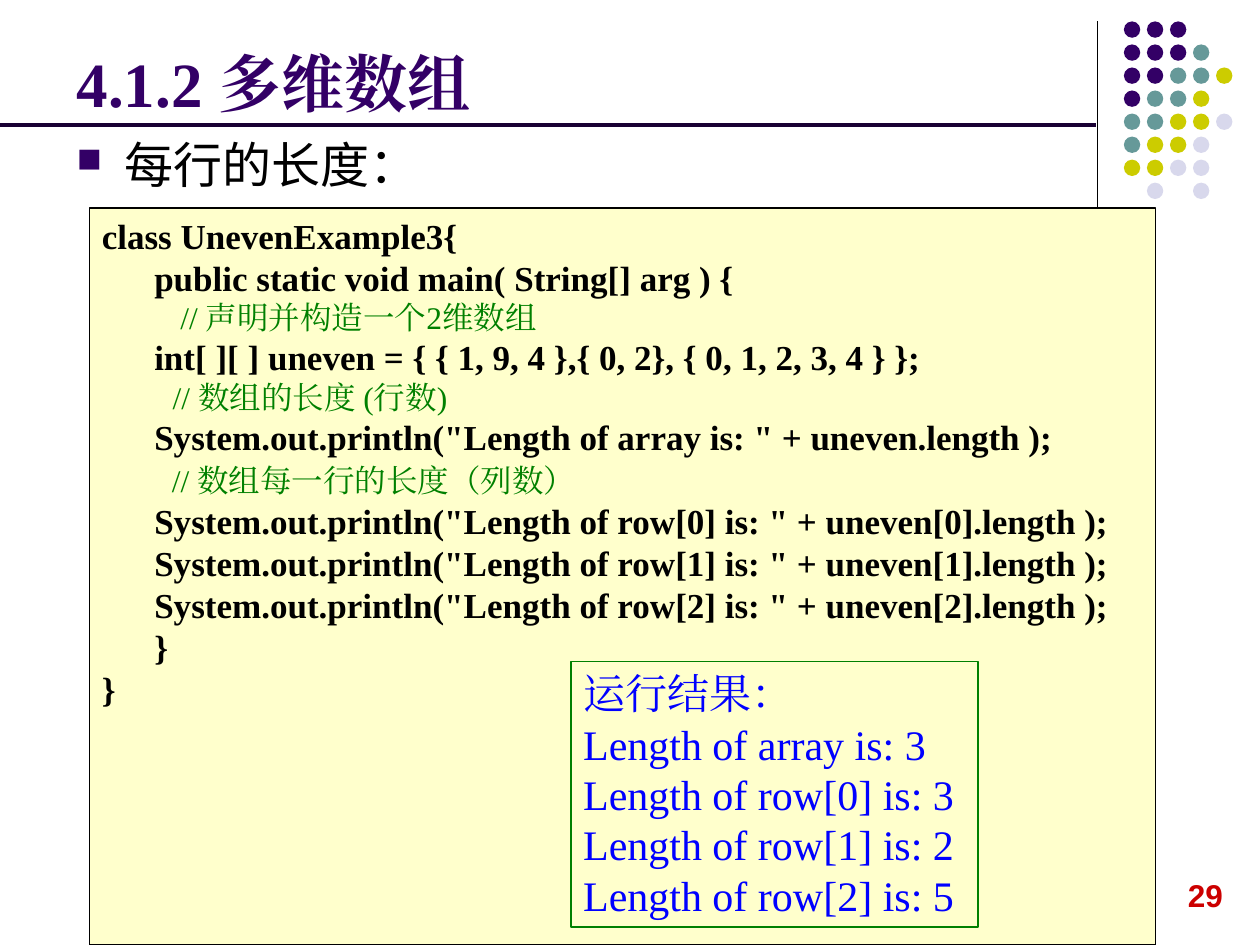
from lxml import etree
from pptx import Presentation
from pptx.dml.color import RGBColor
from pptx.enum import shapes, text
from pptx.oxml import ns
from pptx.util import Inches, Pt

BLACK = RGBColor(0x00, 0x00, 0x00)
PURPLE = RGBColor(0x33, 0x00, 0x66)
DARK_PURPLE = RGBColor(0x19, 0x00, 0x33)
TEAL = RGBColor(0x66, 0x99, 0x99)
OLIVE = RGBColor(0xCC, 0xCC, 0x00)
LAVENDER = RGBColor(0xD8, 0xD8, 0xEC)
CREAM = RGBColor(0xFF, 0xFF, 0xCC)
GREEN = RGBColor(0x00, 0x80, 0x00)
BLUE = RGBColor(0x00, 0x00, 0xFF)
RED = RGBColor(0xCC, 0x00, 0x00)
SERIF = "Times New Roman"
CJK = "Noto Sans CJK SC"

presentation = Presentation()
presentation.slide_width, presentation.slide_height = Inches(10), Inches(7.5)
slide = presentation.slides.add_slide(presentation.slide_layouts[6])


def style(paragraph, size, color, bold=False, name=SERIF):
    """Set the paragraph font for both Latin and East Asian text."""
    paragraph.alignment = text.PP_ALIGN.LEFT
    font = paragraph.font
    font.size, font.bold, font.name = Pt(size), bold, name
    font.color.rgb = color
    defaults = paragraph._p.pPr.find(ns.qn("a:defRPr"))
    etree.SubElement(defaults, ns.qn("a:ea"), typeface=name)


def add_rule(start, end, color, width):
    rule = slide.shapes.add_connector(
        shapes.MSO_CONNECTOR.STRAIGHT, *map(Inches, start + end))
    rule.line.color.rgb, rule.line.width = color, Pt(width)
    etree.SubElement(rule._element.spPr, ns.qn("a:effectLst"))


add_rule((8.71, 0.17), (8.71, 1.83), BLACK, 0.75)

# Dot pattern: one letter per dot, a space for a gap
dot_colors = {"P": PURPLE, "T": TEAL, "O": OLIVE, "L": LAVENDER}
dot_rows = ["PPP", "PPPT", "PPTTO", "PTTO", "TTOOL", "TOOL", "OOLL", " L L"]
dot_pitch = 1.28 / 7
for row, letters in enumerate(dot_rows):
    for column, letter in enumerate(letters):
        if letter == " ":
            continue
        dot = slide.shapes.add_shape(
            shapes.MSO_SHAPE.OVAL, Inches(8.92 + column * dot_pitch),
            Inches(0.17 + row * dot_pitch), Inches(0.13), Inches(0.13))
        dot.shadow.inherit = False
        dot.fill.solid()
        dot.fill.fore_color.rgb = dot_colors[letter]
        dot.line.fill.background()

number_box = slide.shapes.add_textbox(Inches(9.33), Inches(6.9), Inches(0.48), Inches(0.4))
number_box.text_frame.text = "29"
style(number_box.text_frame.paragraphs[0], 18, RED, True, "Arial")

title_box = slide.shapes.add_textbox(Inches(0.51), Inches(0.21), Inches(8.25), Inches(0.79))
title_box.text_frame.word_wrap = True
title_box.text_frame.vertical_anchor = text.MSO_ANCHOR.BOTTOM
title_box.text_frame.text = "4.1.2 多维数组"
style(title_box.text_frame.paragraphs[0], 36, PURPLE, True)

body_box = slide.shapes.add_textbox(Inches(0.51), Inches(1.07), Inches(9), Inches(5.67))
body_box.text_frame.word_wrap = True
body_box.text_frame.margin_top = 0
body_box.text_frame.text = "每行的长度："
bullet_paragraph = body_box.text_frame.paragraphs[0]
properties = bullet_paragraph._p.get_or_add_pPr()
properties.set("marL", str(Inches(0.38)))
properties.set("indent", str(-Inches(0.38)))
bullet_color = etree.SubElement(properties, ns.qn("a:buClr"))
etree.SubElement(bullet_color, ns.qn("a:srgbClr"), val=str(PURPLE))
etree.SubElement(properties, ns.qn("a:buSzPct"), val="70000")
etree.SubElement(properties, ns.qn("a:buChar"), char="■")
style(bullet_paragraph, 28, BLACK, name=CJK)

code_lines = [
    "class UnevenExample3{",
    "      public static void main( String[] arg ) {",
    "          // 声明并构造一个2维数组",
    "      int[ ][ ] uneven = { { 1, 9, 4 },{ 0, 2}, { 0, 1, 2, 3, 4 } };",
    "         // 数组的长度 (行数)",
    '      System.out.println("Length of array is: " + uneven.length );',
    "        // 数组每一行的长度（列数）",
    *(f'      System.out.println("Length of row[{i}] is: " + uneven[{i}].length );'
      for i in range(3)),
    "      }",
    "}",
]
result_lines = ["运行结果：", "Length of array is: 3"]
result_lines += [f"Length of row[{i}] is: {length}" for i, length in enumerate((3, 2, 5))]

code_box = slide.shapes.add_shape(
    shapes.MSO_SHAPE.RECTANGLE, Inches(0.71), Inches(1.65), Inches(8.46), Inches(5.85))
code_box.fill.solid()
code_box.fill.fore_color.rgb = CREAM
code_box.line.color.rgb, code_box.line.width = BLACK, Pt(0.75)

result_box = slide.shapes.add_shape(
    shapes.MSO_SHAPE.RECTANGLE, Inches(4.53), Inches(5.25), Inches(3.23), Inches(2.11))
result_box.fill.background()
result_box.line.color.rgb, result_box.line.width = GREEN, Pt(1)

for box, lines in ((code_box, code_lines), (result_box, result_lines)):
    box.shadow.inherit = False
    frame = box.text_frame
    frame.word_wrap = True
    frame.vertical_anchor = text.MSO_ANCHOR.TOP
    frame.text = "\n".join(lines)
    for paragraph in frame.paragraphs:
        if box is result_box:
            style(paragraph, 24, BLUE)
        elif paragraph.text.lstrip().startswith("//"):
            style(paragraph, 18, GREEN)
        else:
            style(paragraph, 20, BLACK, True)

# The indent of the last comment is as large as the code
row_comment = code_box.text_frame.paragraphs[6]
comment_text = row_comment.text.lstrip()
indent = row_comment.runs[0]
indent.text = " " * 8
indent.font.size = Pt(20)
row_comment.add_run().text = comment_text

add_rule((0, 0.99), (8.7, 0.99), DARK_PURPLE, 2.25)

presentation.save("out.pptx")
